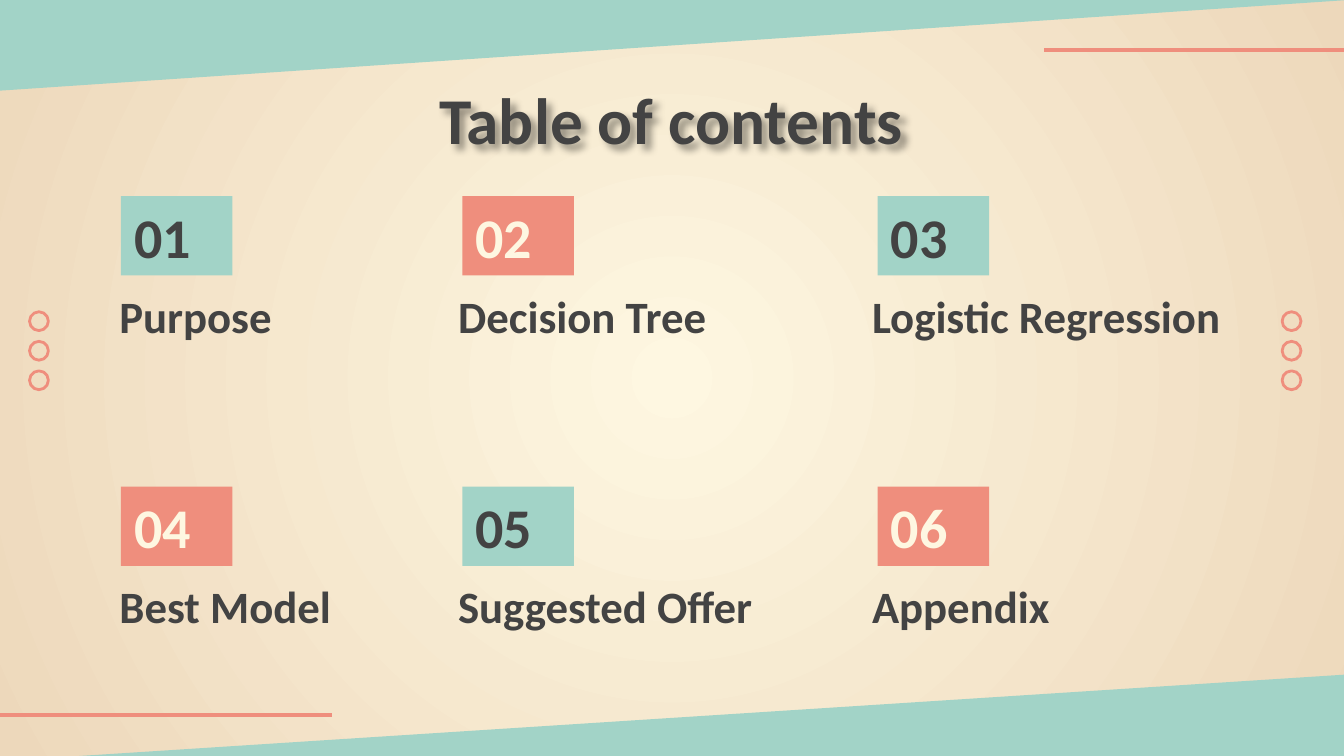
from lxml.etree import SubElement
from pptx import Presentation
from pptx.dml.color import RGBColor
from pptx.enum.shapes import MSO_CONNECTOR, MSO_SHAPE
from pptx.enum.text import MSO_ANCHOR, PP_ALIGN
from pptx.oxml.ns import qn
from pptx.util import Inches, Pt

COLORS = {"cream": "FEF7E1", "sand": "EDD8BB", "mint": "A2D3C7",
          "coral": "EF8E7D", "ink": "434343", "shadow": "000000"}
WIDTH = 10
HEIGHT = WIDTH * 9 / 16
INSET = 0.1


def rgb(name):
    return RGBColor.from_string(COLORS[name])


def write_text(shape, text, size, color="ink", align=PP_ALIGN.LEFT,
               anchor=MSO_ANCHOR.TOP):
    frame = shape.text_frame
    frame.word_wrap = True
    frame.vertical_anchor = anchor
    frame.margin_left = frame.margin_right = Inches(INSET)
    frame.margin_top = frame.margin_bottom = Inches(INSET)
    paragraph = frame.paragraphs[0]
    paragraph.alignment = align
    run = paragraph.add_run()
    run.text = text
    run.font.name, run.font.size, run.font.bold = "Calibri", Pt(size), True
    run.font.color.rgb = rgb(color)


def add_filled(shapes, kind, box, color):
    shape = shapes.add_shape(kind, *map(Inches, box))
    shape.shadow.inherit = False
    shape.fill.solid()
    shape.fill.fore_color.rgb = rgb(color)
    shape.line.fill.background()
    return shape


def add_background(slide):
    """Radial gradient, light in the centre."""
    fill = slide.background.fill
    fill.gradient()
    for stop, color, position in zip(fill.gradient_stops, ("cream", "sand"), (0, 1)):
        stop.color.rgb = rgb(color)
        stop.position = position
    gradient = slide.element.find(".//" + qn("a:gradFill"))
    gradient.remove(gradient.find(qn("a:lin")))
    radial = SubElement(gradient, qn("a:path"), path="circle")
    SubElement(radial, qn("a:fillToRect"),
               {side: "50000" for side in ("l", "t", "r", "b")})


def add_wedge(slide, box, rotation):
    add_filled(slide.shapes, MSO_SHAPE.RIGHT_TRIANGLE, box, "mint").rotation = rotation


def add_rule(slide, left, top, length):
    rule = slide.shapes.add_connector(
        MSO_CONNECTOR.STRAIGHT, Inches(left), Inches(top),
        Inches(left + length), Inches(top))
    rule.line.color.rgb = rgb("coral")
    rule.line.width = Pt(2.25)
    SubElement(rule.element.spPr, qn("a:effectLst"))


def add_rings(slide, left, top, size=0.14, pitch=0.22):
    """Column of three outlined circles."""
    rings = slide.shapes.add_group_shape()
    for index in range(3):
        ring = rings.shapes.add_shape(
            MSO_SHAPE.OVAL, Inches(left), Inches(top + index * pitch),
            Inches(size), Inches(size))
        ring.shadow.inherit = False
        ring.fill.background()
        ring.line.color.rgb = rgb("coral")
        ring.line.width = Pt(1.5)


def add_title(slide, text, box):
    title = slide.shapes.add_textbox(*map(Inches, box))
    write_text(title, text, 35, align=PP_ALIGN.CENTER)
    # Soft shadow below the letters
    effects = SubElement(title.element.spPr, qn("a:effectLst"))
    shadow = SubElement(effects, qn("a:outerShdw"), blurRad="50800", dist="38100",
                        dir="2700000", algn="tl", rotWithShape="0")
    tone = SubElement(shadow, qn("a:srgbClr"), val=COLORS["shadow"])
    SubElement(tone, qn("a:alpha"), val="40000")


def add_entry(slide, number, label, tile_left, label_left, top, label_width, accent):
    """Numbered tile with its section name below."""
    tile_height = 0.59
    tile = add_filled(slide.shapes, MSO_SHAPE.RECTANGLE,
                      (tile_left, top, 0.83, tile_height),
                      "coral" if accent else "mint")
    write_text(tile, f"{number:02d}", 30, color="cream" if accent else "ink",
               anchor=MSO_ANCHOR.MIDDLE)
    section = slide.shapes.add_textbox(
        *map(Inches, (label_left, top + tile_height, label_width, 0.86)))
    write_text(section, label, 24)


def add_contents(slide, left, top):
    """Grid of entries with alternating tile colours."""
    columns = ((0.11, 0), (2.65, 2.52), (5.74, 5.6))  # tile and label offsets
    row_pitch = 2.16
    rows = ((("Purpose", 2.52), ("Decision Tree", 2.52), ("Logistic Regression", 3.14)),
            (("Best Model", 2.52), ("Suggested Offer", 3.53), ("Appendix", 2.52)))
    for row, entries in enumerate(rows):
        for column, (label, width) in enumerate(entries):
            tile, section = columns[column]
            index = row * len(columns) + column
            add_entry(slide, index + 1, label, left + tile, left + section,
                      top + row * row_pitch, width, accent=index % 2 == 1)


def main():
    deck = Presentation()
    deck.slide_width, deck.slide_height = Inches(WIDTH), Inches(HEIGHT)
    slide = deck.slides.add_slide(deck.slide_layouts[6])

    # Decoration
    add_background(slide)
    add_wedge(slide, (4.62, 0.29, 0.65, 10.11), 270)
    add_wedge(slide, (4.71, -4.72, 0.68, 10.11), 90)
    add_rule(slide, 7.77, 0.37, 2.67)
    add_rule(slide, -0.2, 5.32, 2.67)
    for left in (9.54, 0.22):
        add_rings(slide, left, 2.32)

    # Content
    add_title(slide, "Table of contents", (0.78, 0.49, 8.43, 0.63))
    add_contents(slide, 0.79, 1.46)
    deck.save("out.pptx")


if __name__ == "__main__":
    main()
